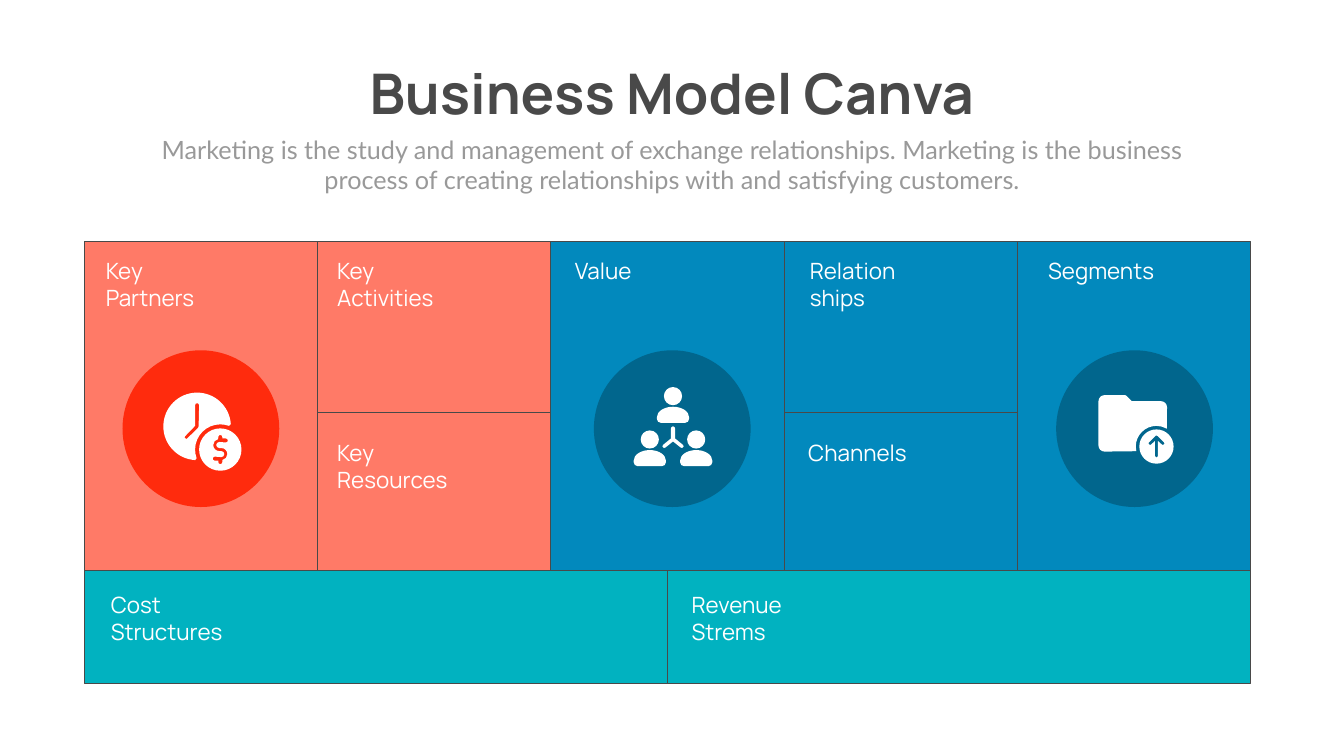
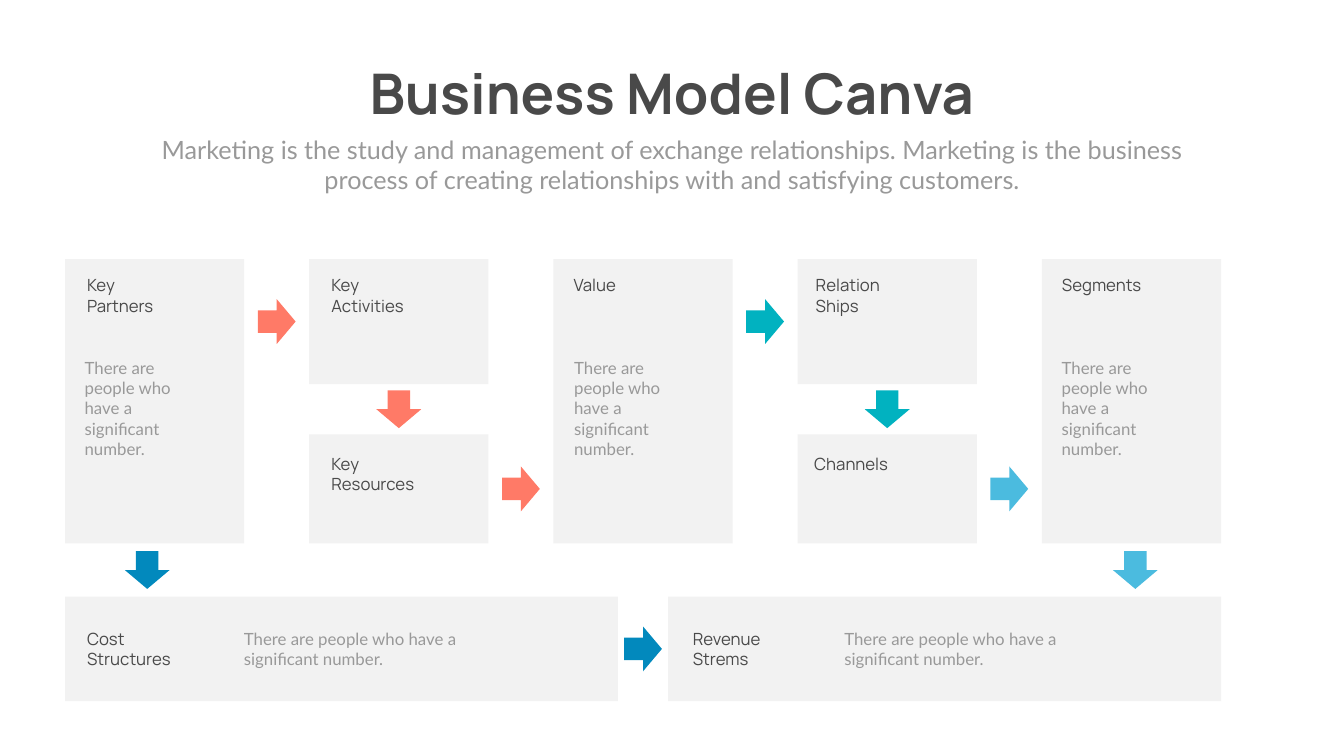
import math
from dataclasses import dataclass

from lxml import etree
from pptx import Presentation
from pptx import util as u
from pptx.dml.color import RGBColor
from pptx.enum import shapes, text
from pptx.oxml.ns import qn

# Shared look
WIDTH, HEIGHT = 26.66, 15
WHITE, DARK, GREY, PALE = "FFFFFF", "494949", "999999", "F2F2F2"
CORAL, RED, BLUE, NAVY, TEAL, SKY = "FF7A67", "FF2B0D", "0289BD", "01668D", "01B2C0", "4BBBDF"
HEADING, BODY = "Manrope", "Lato"
TITLE = "Business Model Canva"
SUBTITLE = ("Marketing is the study and management of exchange relationships. "
            "Marketing is the business process of creating relationships with "
            "and satisfying customers.")
NOTE = "There are people who have a significant number."


@dataclass
class Grid:
    """Five columns above two halves; rows hold top and bottom edges."""
    left: float
    width: float
    gaps: dict
    rows: list

    def column_width(self, count):
        return (self.width - self.gaps[count] * (count - 1)) / count

    def column(self, index, count=5):
        return self.left + index * (self.column_width(count) + self.gaps[count])

    def column_middle(self, index):
        return self.column(index) + self.column_width(5) / 2

    def gap_middle(self, index, count=5):
        """Middle of the gap after the given column."""
        return self.column(index + 1, count) - self.gaps[count] / 2

    def row_middle(self, index):
        return sum(self.rows[index]) / 2

    def row_gap_middle(self, index):
        return (self.rows[index][1] + self.rows[index + 1][0]) / 2

    def cell(self, column, count, first, last):
        top, bottom = self.rows[first][0], self.rows[last][1]
        return self.column(column, count), top, self.column_width(count), bottom - top


# Column, columns in the row, first row, last row
CELLS = [
    (0, 5, 0, 1), (1, 5, 0, 0), (1, 5, 1, 1), (2, 5, 0, 1), (3, 5, 0, 0),
    (3, 5, 1, 1), (4, 5, 0, 1), (0, 2, 2, 2), (1, 2, 2, 2),
]
FILLS = [CORAL] * 3 + [BLUE] * 4 + [TEAL] * 2

CANVAS = Grid(1.67, 23.14, {5: 0, 2: 0}, [(4.79, 8.18), (8.18, 11.32), (11.32, 13.56)])
FLOW = Grid(1.29, 22.93, {5: 1.29, 2: 1}, [(5.14, 7.62), (8.62, 10.78), (11.84, 13.91)])

# Label, indent from the cell's left side, width of the text
CANVAS_LABELS = [
    ("Key Partners", 0.33, 2.32), ("Key Activities", 0.29, 2.65), ("Key Resources", 0.29, 2.67),
    ("Value", 0.38, 1.84), ("Relation ships", 0.41, 2.39), ("Channels", 0.38, 2.42),
    ("Segments", 0.51, 2.57), ("Cost Structures", 0.43, 2.92), ("Revenue Strems", 0.38, 2.92),
]
FLOW_LABELS = [
    ("Key Partners", 0.34, 1.83), ("Key Activities", 0.34, 1.82), ("Key Resources", 0.34, 2.18),
    ("Value", 0.3, 2.39), ("Relation Ships", 0.26, 1.82), ("Channels", 0.23, 2.41),
    ("Segments", 0.3, 2.39), ("Cost Structures", 0.34, 2), ("Revenue Strems", 0.39, 2),
]


# Basic elements
def colour(value):
    return RGBColor.from_string(value)


def paint(shape, fill, line=None):
    shape.shadow.inherit = False
    shape.fill.solid()
    shape.fill.fore_color.rgb = colour(fill)
    if line:
        shape.line.color.rgb = colour(line)
        shape.line.width = u.Pt(1)
    else:
        shape.line.fill.background()
    return shape


def add_preset(page, kind, place, fill, line=None):
    shape = page.shapes.add_shape(kind, *map(u.Inches, place))
    return paint(shape, fill, line)


def add_text(page, place, words, size, font, ink, bold=False, centred=False):
    box = page.shapes.add_textbox(*map(u.Inches, place))
    box.text_frame.word_wrap = True
    para = box.text_frame.paragraphs[0]
    para.alignment = text.PP_ALIGN.CENTER if centred else text.PP_ALIGN.LEFT
    span = para.add_run()
    span.text = words
    span.font.size = u.Pt(size)
    span.font.name = font
    span.font.bold = bold
    span.font.color.rgb = colour(ink)


def add_disc(page, left, fill):
    add_preset(page, shapes.MSO_SHAPE.OVAL, (left, 6.95, 3.11, 3.11), fill)


def add_blocks(page, grid, fills, line=None):
    for cell, fill in zip(CELLS, fills):
        block = add_preset(page, shapes.MSO_SHAPE.ROUNDED_RECTANGLE,
                           grid.cell(*cell), fill, line)
        block.adjustments[0] = 0


def add_labels(page, grid, labels, drops, size, ink):
    """Drops are the distances from the top of each row to its labels."""
    for cell, (words, indent, width) in zip(CELLS, labels):
        left, top, _, _ = grid.cell(*cell)
        height = size / 72 * 1.22 * len(words.split()) + 0.1
        place = left + indent, top + drops[cell[2]], width, height
        add_text(page, place, words, size, HEADING, ink)


def add_arrow(page, x, y, fill, down=False):
    width, height = 0.75, 0.89
    place = x - width / 2, y - height / 2, width, height
    arrow = add_preset(page, shapes.MSO_SHAPE.RIGHT_ARROW, place, fill)
    arrow.rotation = 90 if down else 0


def add_header(page):
    add_text(page, (6.73, 1.12, 13.2, 1.45), TITLE, 80, HEADING, DARK, True, True)
    add_text(page, (2.92, 2.61, 20.82, 1.31), SUBTITLE, 36, BODY, GREY, centred=True)


# Icon outlines: a step holds one point for a line, three for a curve
def line(*points):
    return [(point,) for point in points]


def arc(x, y, radius, start, end, rise=None):
    """A line to the start of an arc, then one curve for each quadrant."""
    rise = rise or radius
    low, high = sorted((start, end))
    turns = [a for a in range(-360, 361, 90) if low < a < high]
    stops = [low, *turns, high]
    if end < start:
        stops.reverse()

    def spot(angle, pull=0):
        a = math.radians(angle)
        return (x + radius * (math.cos(a) - pull * math.sin(a)),
                y + rise * (math.sin(a) + pull * math.cos(a)))

    steps = line(spot(start))
    for a, b in zip(stops, stops[1:]):
        pull = 4 / 3 * math.tan(math.radians(b - a) / 4)
        steps.append((spot(a, pull), spot(b, -pull), spot(b)))
    return steps


def bend(shape, contours):
    """Turn each three-point step of the outline into a Bézier curve."""
    segments = iter(list(shape.element.iter(qn("a:lnTo"))))
    for contour in contours:
        for step in contour[1:]:
            first, *others = [next(segments) for _ in step]
            if others:
                first.tag = qn("a:cubicBezTo")
                for other in others:
                    first.append(other[0])
                    other.getparent().remove(other)
    etree.cleanup_namespaces(shape.element)


def add_outline(page, x, y, *contours):
    """White outline around (x, y); contours after the first are holes."""
    builder = None
    for contour in contours:
        points = [(u.Inches(x + dx), u.Inches(y + dy)) for step in contour for dx, dy in step]
        if builder is None:
            builder = page.shapes.build_freeform(*points[0], scale=1.0)
        else:
            builder.move_to(*points[0])
        builder.add_line_segments(points[1:], close=False)
    shape = paint(builder.convert_to_shape(), WHITE)
    bend(shape, contours)


def add_clock_icon(page, x, y):
    face = arc(0, 0, 0.67, 93, 356) + arc(0.46, 0.46, 0.5, -70, -200) + line((-0.04, 0.67))
    hands = (line((-0.04, -0.01)) + arc(0, -0.42, 0.04, 180, 360)
             + line((0.03, 0), (0.02, 0.03)) + arc(-0.22, 0.22, 0.03, 45, 225)
             + line((-0.04, -0.01)))
    add_outline(page, x, y, face, hands)
    half = (line((-0.02, -0.03)) + arc(0.02, 0.09, 0.12, -90, 80)
            + arc(0, 0.25, 0.04, 0, 180) + line((-0.04, 0.22))
            + arc(-0.11, 0.18, 0.04, 90, 270) + arc(0.02, 0.09, 0.06, 90, -90))
    dollar = half + [tuple((-dx, -dy) for dx, dy in step) for step in half] + half[:1]
    add_outline(page, x + 0.46, y + 0.46, arc(0, 0, 0.42, 0, 360), dollar)


def add_person(page, x, y):
    add_outline(page, x, y, arc(0, 0, 0.18, 0, 360))
    body = (arc(0, 0.21, 0.32, 180, 360, rise=0.21) + arc(0.24, 0.24, 0.08, 0, 90)
            + arc(-0.24, 0.24, 0.08, 90, 180) + line((-0.32, 0.21)))
    add_outline(page, x, y + 0.21, body)


def add_team_icon(page, x, y):
    for dx, dy in [(0, -0.84), (-0.46, 0.02), (0.46, 0.02)]:
        add_person(page, x + dx, y + dy)
    right = [(0.04, 0), (0.2, 0.13), (0.21, 0.16), (0.18, 0.19), (0.15, 0.18), (0, 0.06)]
    left = [(-dx, dy) for dx, dy in reversed(right[:-1])]
    add_outline(page, x, y, arc(0, -0.2, 0.04, 180, 360) + line(*right, *left, (-0.04, -0.2)))


def add_folder_icon(page, x, y):
    folder = (arc(0.09, -0.78, 0.12, -90, 0) + arc(0, 0, 0.41, -60, -193)
              + arc(-1.03, -0.02, 0.12, 90, 180) + arc(-1.03, -0.9, 0.12, 180, 270)
              + line((-0.62, -1.02), (-0.6, -1.01), (-0.49, -0.9), (0.09, -0.9)))
    add_outline(page, x, y, folder)
    arrow = (line((0.03, -0.11)) + arc(0, 0.19, 0.03, 0, 180) + line((-0.03, -0.11))
             + arc(-0.13, -0.06, 0.03, 45, 225) + arc(0, -0.19, 0.03, 225, 315)
             + arc(0.13, -0.06, 0.03, -45, 135) + line((0.03, -0.11)))
    add_outline(page, x, y, arc(0, 0, 0.34, 0, 360), arrow)


# Slides
def build_canvas(page):
    add_header(page)
    add_blocks(page, CANVAS, FILLS, DARK)
    add_labels(page, CANVAS, CANVAS_LABELS, (0.26, 0.48, 0.36), 32, WHITE)
    add_disc(page, 2.43, RED)
    add_clock_icon(page, 3.91, 8.46)
    add_disc(page, 11.78, NAVY)
    add_team_icon(page, 13.35, 8.7)
    add_disc(page, 20.95, NAVY)
    add_folder_icon(page, 22.94, 8.86)


def build_flow(page):
    add_header(page)
    add_blocks(page, FLOW, [PALE] * len(CELLS))
    add_labels(page, FLOW, FLOW_LABELS, (0.27, 0.33, 0.58), 24, DARK)

    # Arrows across the column gaps, then down the row gaps
    for column, count, row, fill in [(0, 5, 0, CORAL), (1, 5, 1, CORAL), (0, 2, 2, BLUE),
                                     (2, 5, 0, TEAL), (3, 5, 1, SKY)]:
        add_arrow(page, FLOW.gap_middle(column, count), FLOW.row_middle(row), fill)
    for x, row, fill in [(FLOW.column_middle(1), 0, CORAL), (2.92, 1, BLUE),
                         (FLOW.column_middle(3), 0, TEAL), (22.52, 1, SKY)]:
        add_arrow(page, x, FLOW.row_gap_middle(row), fill, down=True)

    # Notes in the tall and the wide blocks
    tall = [(left, 7.05, 2.42, 2.12) for left in (1.58, 11.29, 20.96)]
    wide = [(left, 12.42, 5, 0.91) for left in (4.74, 16.65)]
    for place in tall + wide:
        add_text(page, place, NOTE, 24, BODY, GREY)


def main():
    deck = Presentation()
    deck.slide_width, deck.slide_height = u.Inches(WIDTH), u.Inches(HEIGHT)
    for build in (build_canvas, build_flow):
        build(deck.slides.add_slide(deck.slide_layouts[6]))
    deck.save("out.pptx")


if __name__ == "__main__":
    main()
